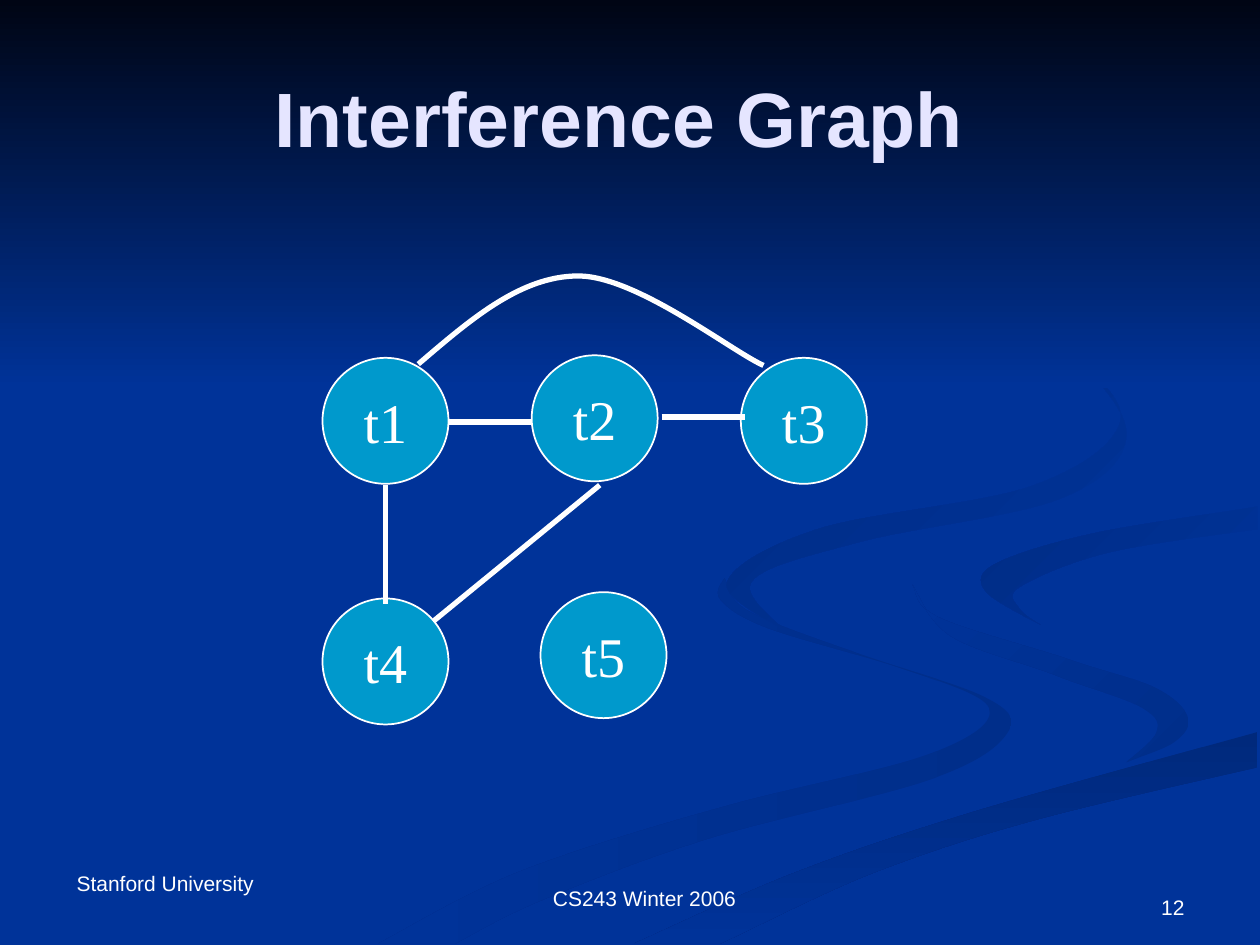
from dataclasses import dataclass
from lxml.etree import SubElement
from pptx import Presentation
from pptx.dml.color import RGBColor
from pptx.enum.shapes import MSO_CONNECTOR as Connector, MSO_SHAPE as Preset
from pptx.enum.text import MSO_ANCHOR as Anchor, MSO_AUTO_SIZE as AutoSize, PP_ALIGN as Align
from pptx.oxml.ns import qn
from pptx.util import Pt

PX = 9144


@dataclass(frozen=True)
class Theme:
    back: str = "003399"
    night: str = "000514"
    node: str = "0099CC"
    white: str = "FFFFFF"
    title: str = "E5E5FF"
    sans: str = "Arial"
    serif: str = "Times New Roman"
    title_size: int = 44
    node_size: int = 32
    small_size: int = 12
    outline: int = 1
    edge: int = 3


THEME = Theme()
TITLE = "Interference Graph "
NODE_SIZE = 100
NODES = [("t1", 256, 284), ("t2", 422, 282), ("t3", 588, 284), ("t4", 256, 475), ("t5", 429, 470)]
EDGES = [(356, 335, 422, 335), (306, 385, 306, 479), (525, 331, 591, 331), (344, 493, 476, 385)]
ARC = [(332, 289), (373, 254), (413, 219), (459, 219), (505, 219), (581, 279), (606, 290)]
FOOTERS = [
    ("CS243 Winter 2006", (429, 698, 165, 30), Align.LEFT, Anchor.TOP, False),
    ("Stanford University", (51, 686, 188, 30), Align.LEFT, Anchor.TOP, True),
    ("12", (717, 683, 233, 52), Align.RIGHT, Anchor.BOTTOM, True),
]
RIBBONS = [
    ("002E8A", THEME.back, 180,
     [(575, 459), (572, 476), (611, 499), (714, 530), (785, 562), (739, 598), (579, 639), (417, 690), (300, 749)],
     [(575, 459), (594, 485), (682, 519), (781, 553), (800, 581), (740, 618), (564, 665), (431, 714), (361, 749)]),
    ("002E8A", THEME.back, 225,
     [(724, 464), (745, 490), (850, 524), (919, 547), (943, 570), (932, 589), (894, 605)],
     [(724, 464), (755, 505), (838, 536), (907, 562), (918, 581), (894, 605)]),
    ("00297C", THEME.back, 90,
     [(503, 749), (630, 693), (764, 647), (998, 581)],
     [(571, 749), (695, 692), (821, 651), (998, 609)]),
    (THEME.back, "002C85", 225,
     [(998, 402), (865, 424), (791, 447), (782, 469), (826, 496)],
     [(998, 420), (878, 439), (809, 466), (809, 483), (826, 496)]),
    (THEME.back, "002B81", 225,
     [(762, 233), (843, 275), (894, 344), (841, 396), (683, 430), (597, 461), (622, 500)],
     [(762, 233), (846, 279), (889, 335), (818, 386), (649, 420), (577, 462), (622, 500)]),
]


def emu(values):
    return [value * PX for value in values]


def rgb(code):
    return RGBColor.from_string(code)


def toward(point, before, after):
    return tuple(round(p + (a - b) / 6) for p, b, a in zip(point, before, after))


def smooth(points):
    padded = [points[0], *points, points[-1]]
    curve = [points[0]]
    for before, start, end, after in zip(padded, padded[1:], padded[2:], padded[3:]):
        curve += [toward(start, before, end), toward(end, after, start), end]
    return curve


def outline_of(upper, lower):
    there, back = smooth(upper), smooth(lower[::-1])
    return there + [there[-1], back[0]] + back


def draw_curve(shapes, points, close):
    builder = shapes.build_freeform(*points[0], scale=PX)
    builder.add_line_segments(points[1:], close=False)
    shape = builder.convert_to_shape()
    shape.shadow.inherit = False
    outline = shape._element.find(".//" + qn("a:path"))
    steps = outline.findall(qn("a:lnTo"))
    for first in range(0, len(steps), 3):
        curve = SubElement(outline, qn("a:cubicBezTo"))
        for step in steps[first:first + 3]:
            curve.append(step[0])
            outline.remove(step)
    if close:
        SubElement(outline, qn("a:close"))
    return shape


def paint(fill, code):
    fill.solid()
    fill.fore_color.rgb = rgb(code)


def shade(fill, start, end, angle):
    fill.gradient()
    fill.gradient_angle = 360 - angle
    for position, (stop, code) in enumerate(zip(fill.gradient_stops, (start, end))):
        stop.color.rgb = rgb(code)
        stop.position = position


def stroke(line, width):
    line.color.rgb = rgb(THEME.white)
    line.width = Pt(width)


def write(shape, text, font, size, color=THEME.white, align=Align.CENTER,
          anchor=Anchor.MIDDLE, wrap=False, bold=False):
    frame = shape.text_frame
    frame.text = text
    frame.word_wrap = wrap
    frame.auto_size = AutoSize.NONE
    frame.vertical_anchor = anchor
    para = frame.paragraphs[0]
    para.alignment = align
    span = para.runs[0].font
    span.name, span.size, span.bold = font, Pt(size), bold
    span.color.rgb = rgb(color)


def main():
    deck = Presentation()
    deck.slide_width, deck.slide_height = emu((1000, 750))
    page = deck.slides.add_slide(deck.slide_layouts[5])
    shapes = page.shapes
    paint(page.background.fill, THEME.back)

    title = shapes.title
    backdrop = shapes.add_group_shape()
    title._element.addprevious(backdrop._element)
    for start, end, angle, upper, lower in RIBBONS:
        ribbon = draw_curve(backdrop.shapes, outline_of(upper, lower), True)
        shade(ribbon.fill, start, end, angle)
        ribbon.line.fill.background()
    sky = backdrop.shapes.add_shape(Preset.RECTANGLE, *emu((0, 0, 1000, 308)))
    sky.shadow.inherit = False
    shade(sky.fill, THEME.night, THEME.back, 90)
    sky.line.fill.background()

    title.left, title.top, title.width, title.height = emu((50, 30, 900, 125))
    write(title, TITLE, THEME.sans, THEME.title_size, THEME.title, wrap=True, bold=True)

    for name, left, top in NODES:
        node = shapes.add_shape(Preset.OVAL, *emu((left, top, NODE_SIZE, NODE_SIZE)))
        node.shadow.inherit = False
        paint(node.fill, THEME.node)
        stroke(node.line, THEME.outline)
        write(node, name, THEME.serif, THEME.node_size)

    for ends in EDGES:
        edge = shapes.add_connector(Connector.STRAIGHT, *emu(ends))
        stroke(edge.line, THEME.edge)
        SubElement(edge._element.spPr, qn("a:effectLst"))

    arc = draw_curve(shapes, ARC, False)
    arc.fill.background()
    stroke(arc.line, THEME.edge)

    for text, place, align, anchor, wrap in FOOTERS:
        box = shapes.add_textbox(*emu(place))
        write(box, text, THEME.sans, THEME.small_size, align=align, anchor=anchor, wrap=wrap)

    deck.save("out.pptx")


if __name__ == "__main__":
    main()
